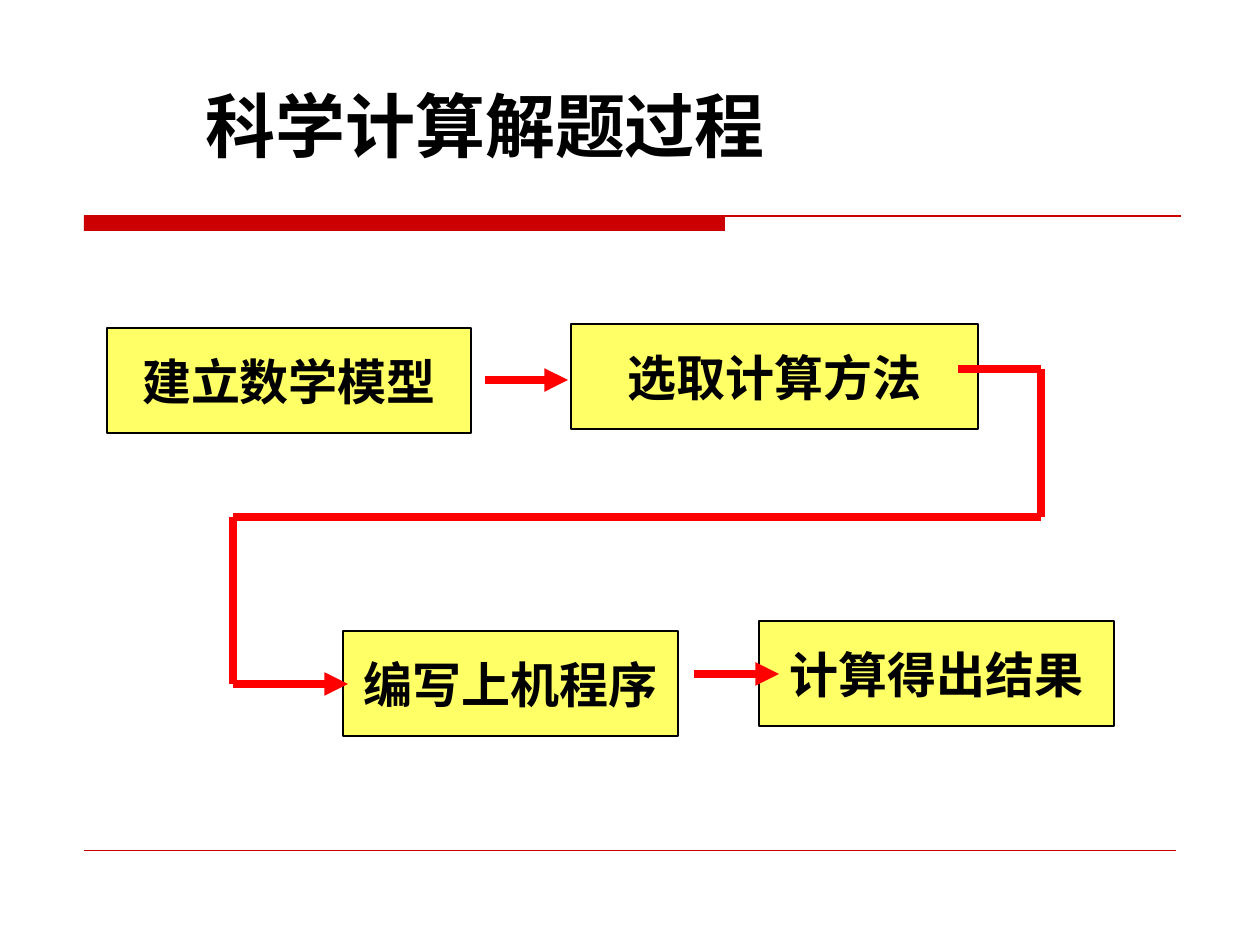
"""Build a slide showing the steps of solving a scientific computing problem."""
from itertools import pairwise

from lxml import etree
from pptx import Presentation
from pptx import util as u
from pptx.dml.color import RGBColor
from pptx.enum import shapes, text
from pptx.oxml import ns

FONT = "Times New Roman"
BLACK, YELLOW, RED, DARK_RED = "000000", "FFFF66", "FF0000", "CC0000"
BOX_HEIGHT = 105
STEPS = [
    ("建立数学模型", 107, 328, 364),
    ("选取计算方法", 571, 324, 407),
    ("编写上机程序", 343, 631, 335),
    ("计算得出结果", 759, 621, 355),
]
ROUTES = [
    [(485, 380), (568, 380)],
    [(958, 369), (1041, 369), (1041, 517), (233, 517), (233, 684), (348, 684)],
    [(694, 674), (779, 674)],
]


def px(n):
    """Turn pixels into EMU."""
    return u.Inches(n / 126)


def color(value):
    """Turn a hex string into a colour."""
    return RGBColor.from_string(value)


def add_run(p, content, size):
    """Add a bold black run to a paragraph."""
    r = p.add_run()
    r.text = content
    r.font.name = FONT
    r.font.size = u.Pt(size)
    r.font.bold = True
    r.font.color.rgb = color(BLACK)


def add_rect(s, x, y, w, h, fill, line=None):
    """Add a filled rectangle with an optional thin outline."""
    sp = s.shapes.add_shape(shapes.MSO_SHAPE.RECTANGLE, px(x), px(y), px(w), px(h))
    sp.shadow.inherit = False
    sp.fill.solid()
    sp.fill.fore_color.rgb = color(fill)
    if line:
        sp.line.color.rgb = color(line)
        sp.line.width = u.Pt(0.75)
    else:
        sp.line.fill.background()
    return sp


def add_step(s, label, x, y, w):
    """Add a labelled step box."""
    tf = add_rect(s, x, y, w, BOX_HEIGHT, YELLOW, BLACK).text_frame
    tf.word_wrap = False
    tf.vertical_anchor = text.MSO_ANCHOR.MIDDLE
    p = tf.paragraphs[0]
    p.alignment = text.PP_ALIGN.CENTER
    add_run(p, label, 28)


def add_line(s, start, end, stroke, width, arrow=False):
    """Add a straight line, with an arrowhead at its end if asked."""
    ends = [px(n) for n in (*start, *end)]
    sp = s.shapes.add_connector(shapes.MSO_CONNECTOR.STRAIGHT, *ends)
    sp.line.color.rgb = color(stroke)
    sp.line.width = u.Pt(width)
    if arrow:
        ln = sp.line._get_or_add_ln()
        etree.SubElement(ln, ns.qn("a:tailEnd"), type="triangle")
    etree.SubElement(sp._element.spPr, ns.qn("a:effectLst"))


def add_route(s, points):
    """Join points with thick lines, ending in an arrowhead."""
    for start, end in pairwise(points):
        add_line(s, start, end, RED, 4.5, arrow=end == points[-1])


def add_title(s, content):
    """Add the slide title."""
    tf = s.shapes.add_textbox(px(193), px(76), px(635), px(97)).text_frame
    tf.word_wrap = True
    add_run(tf.paragraphs[0], content, 40)


def add_rules(s):
    """Add the header bar with its line and the footer line."""
    add_rect(s, 84, 216, 641, 15, DARK_RED)
    add_line(s, (84, 216), (1181, 216), DARK_RED, 0.75)
    add_line(s, (84, 850), (1176, 850), DARK_RED, 0.25)


def main():
    """Build and save the slide."""
    prs = Presentation()
    prs.slide_width, prs.slide_height = px(1260), px(945)
    s = prs.slides.add_slide(prs.slide_layouts[6])
    add_rules(s)
    add_title(s, "科学计算解题过程")
    for step in STEPS:
        add_step(s, *step)
    for points in ROUTES:
        add_route(s, points)
    prs.save("out.pptx")


if __name__ == "__main__":
    main()
